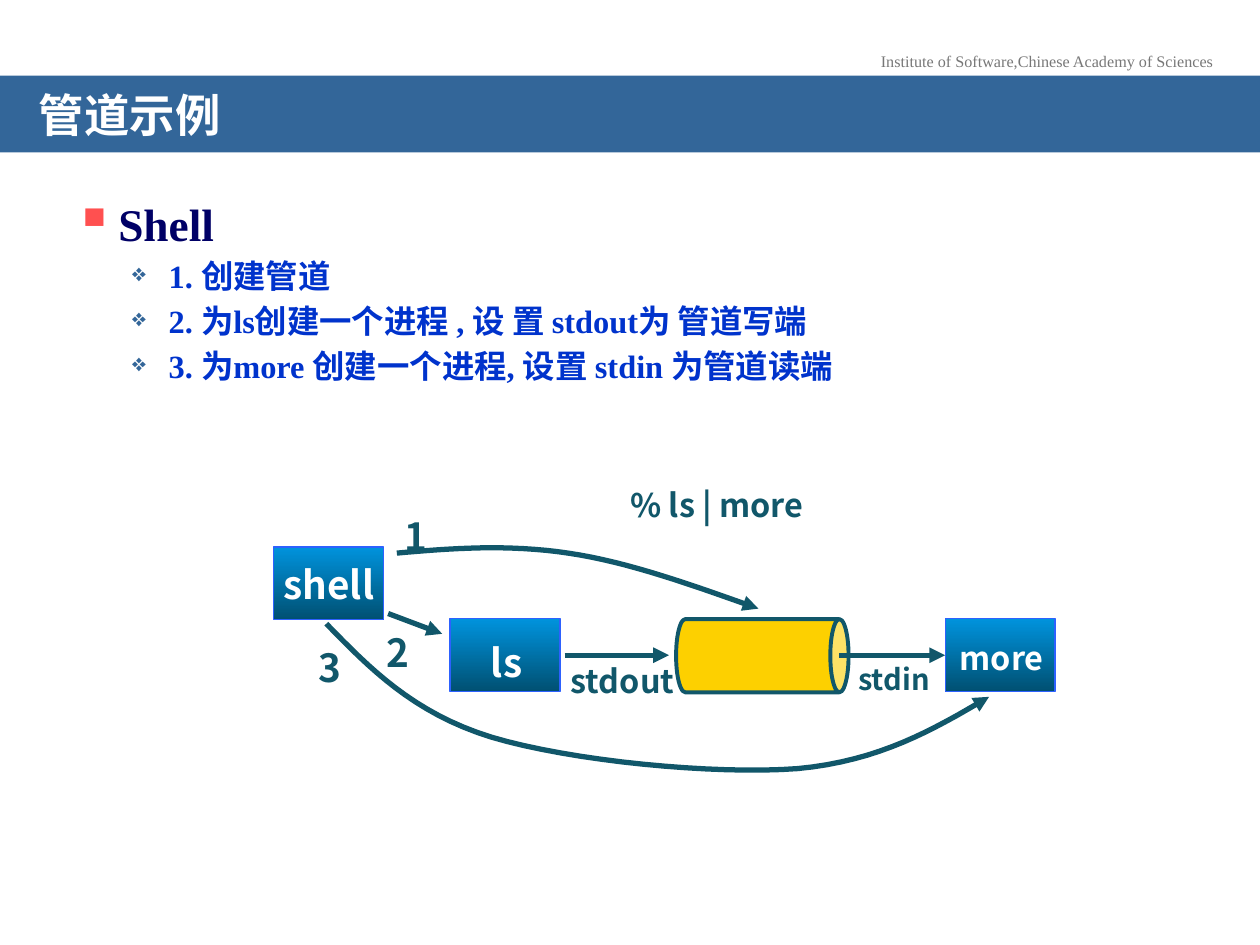
from lxml.etree import SubElement
from pptx import Presentation
from pptx.dml.color import RGBColor
from pptx.enum.shapes import MSO_CONNECTOR, MSO_SHAPE
from pptx.enum.text import MSO_ANCHOR, PP_ALIGN
from pptx.oxml.ns import qn
from pptx.util import Pt

SERIF = "Times New Roman"
SANS = "Noto Sans CJK SC"
TEAL = "11576A"
WHITE = "FFFFFF"
color = RGBColor.from_string


def write(paragraph, text, size, hex_color, name=SANS, bold=True):
    """Add text; East Asian glyphs always use the sans font."""
    span = paragraph.add_run()
    span.text = text
    SubElement(span._r.get_or_add_rPr(), qn("a:ea"), typeface=SANS)
    font = paragraph.font
    font.name, font.size, font.bold = name, Pt(size), bold
    font.color.rgb = color(hex_color)


def make_arrow(shape):
    """Give a connector or an open curve the thick line, head and no shadow."""
    shape.line.color.rgb = color(TEAL)
    shape.line.width = Pt(3)
    SubElement(shape.line._get_or_add_ln(), qn("a:tailEnd"), type="triangle")
    properties = shape._element.spPr
    if properties.find(qn("a:effectLst")) is None:
        SubElement(properties, qn("a:effectLst"))


deck = Presentation()
deck.slide_width, deck.slide_height = Pt(720), Pt(540)
page = deck.slides.add_slide(deck.slide_layouts[6])
shapes = page.shapes

# Title bar
bar = shapes.add_shape(MSO_SHAPE.RECTANGLE, 0, Pt(43.2), Pt(720), Pt(43.9))
bar.shadow.inherit = False
bar.fill.solid()
bar.fill.fore_color.rgb = color("336699")
bar.line.fill.background()
frame = bar.text_frame
frame.vertical_anchor = MSO_ANCHOR.MIDDLE
frame.margin_left = frame.margin_right = Pt(22.3)
frame.margin_top, frame.margin_bottom = Pt(11.5), Pt(3.6)
title = frame.paragraphs[0]
title.alignment = PP_ALIGN.LEFT
title.line_spacing = 0.7
write(title, "管道示例", 25.9, WHITE)

# Bulleted text: text, size, colour, left margin, hanging indent, bullet, its colour and percent
body = shapes.add_textbox(Pt(35.3), Pt(108.5), Pt(648.7), Pt(382))
body.text_frame.word_wrap = True
heading = (25.9, "000066", 25.2, 25.2, "▪", "FF5050", 120)
step = (18.5, "0033CC", 54, 20.9, "❖", "336699", 75)
outline = [
    ("Shell", heading),
    ("1. 创建管道", step),
    ("2. 为ls创建一个进程 , 设 置 stdout为 管道写端", step),
    ("3. 为more 创建一个进程, 设置 stdin 为管道读端", step),
]
for index, (text, style) in enumerate(outline):
    size, text_color, margin, hanging, bullet, bullet_color, percent = style
    paragraph = body.text_frame.paragraphs[0] if index == 0 else body.text_frame.add_paragraph()
    if index:
        paragraph.space_before = Pt(3.7)
        paragraph.line_spacing = Pt(22)
    layout = paragraph._p.get_or_add_pPr()
    layout.set("marL", str(Pt(margin)))
    layout.set("indent", str(-Pt(hanging)))
    SubElement(SubElement(layout, qn("a:buClr")), qn("a:srgbClr"), val=bullet_color)
    SubElement(layout, qn("a:buSzPct"), val=str(percent * 1000))
    SubElement(layout, qn("a:buChar"), char=bullet)
    write(paragraph, text, size, text_color, SERIF)

# Process boxes
processes = []
for left, top in [(156.4, 312.6), (257.2, 353.6), (540.1, 353.6)]:
    process = shapes.add_shape(MSO_SHAPE.RECTANGLE, Pt(left), Pt(top), Pt(62.8), Pt(41.6))
    process.shadow.inherit = False
    process.fill.gradient()
    process.fill.gradient_angle = 270
    for stop, shade in zip(process.fill.gradient_stops, ["0093DD", "005072"]):
        stop.color.rgb = color(shade)
    process.line.color.rgb = color("2D61FE")
    process.line.width = Pt(0.75)
    processes.append(process)

# Pipe
pipe = shapes.add_shape(MSO_SHAPE.CAN, Pt(414.7), Pt(325.4), Pt(41.8), Pt(98.6))
pipe.rotation = 90
pipe.shadow.inherit = False
pipe.fill.solid()
pipe.fill.fore_color.rgb = color("FDD000")
pipe.line.color.rgb = color(TEAL)
pipe.line.width = Pt(2.25)

# Straight arrows
for x1, y1, x2, y2 in [
    (221.8, 350.6, 252.7, 362.2),
    (322.6, 374.4, 382.3, 374.4),
    (479.5, 374.4, 540.1, 374.4),
]:
    arrow = shapes.add_connector(MSO_CONNECTOR.STRAIGHT, Pt(x1), Pt(y1), Pt(x2), Pt(y2))
    make_arrow(arrow)
arrow.end_connect(processes[-1], 1)

# Curved arrows: start point, then Bezier segments of two controls and an end
curves = [
    [(226.8, 316.1), (258.5, 313.2), (290.9, 311), (324.7, 316.1),
     (359.3, 321.1), (396.7, 334.8), (433.4, 347.8)],
    [(186.5, 356.4), (211, 381.6), (236.2, 407.5), (280.8, 421.2),
     (326.2, 434.9), (408.2, 442.8), (455.8, 439.2),
     (502.6, 434.9), (533.5, 416.9), (565.2, 398.2)],
]
STEPS = 16
for knots in curves:
    points = []
    for first in range(0, len(knots) - 1, 3):
        for t in (number / STEPS for number in range(1, STEPS + 1)):
            weights = [(1 - t) ** 3, 3 * t * (1 - t) ** 2, 3 * t * t * (1 - t), t ** 3]
            segment = zip(*knots[first:first + 4])
            points.append([Pt(sum(w * v for w, v in zip(weights, axis))) for axis in segment])
    builder = shapes.build_freeform(Pt(knots[0][0]), Pt(knots[0][1]))
    builder.add_line_segments(points, close=False)
    curve = builder.convert_to_shape()
    curve.shadow.inherit = False
    curve.fill.background()
    make_arrow(curve)

# Labels: text, left, top, width, size, colour
for text, left, top, width, size, text_color in [
    ("shell", 154.1, 316.8, 67.7, 22.1, WHITE),
    ("ls", 255.6, 361.4, 67.7, 22.1, WHITE),
    ("more", 538.6, 361.4, 67.7, 18.5, WHITE),
    ("1", 223.9, 289.4, 25.9, 22.1, TEAL),
    ("2", 213.8, 355.7, 25.9, 22.1, TEAL),
    ("3", 175, 364.3, 25.9, 22.1, TEAL),
    ("stdout", 316.8, 374.4, 77.8, 18.5, TEAL),
    ("stdin", 482.4, 374.4, 56.9, 16.6, TEAL),
    ("% ls | more", 344.9, 273.6, 129.6, 18.5, TEAL),
]:
    label = shapes.add_textbox(Pt(left), Pt(top), Pt(width), Pt(25.9))
    label.text_frame.word_wrap = False
    paragraph = label.text_frame.paragraphs[0]
    paragraph.alignment = PP_ALIGN.CENTER
    write(paragraph, text, size, text_color)

# Institute line above the title bar
institute = shapes.add_textbox(Pt(494.6), Pt(25.9), Pt(207.4), Pt(18.7))
institute.text_frame.word_wrap = False
paragraph = institute.text_frame.paragraphs[0]
paragraph.alignment = PP_ALIGN.CENTER
write(paragraph, "Institute of Software,Chinese Academy of Sciences", 9.2, "777777", SERIF, False)

deck.save("out.pptx")
